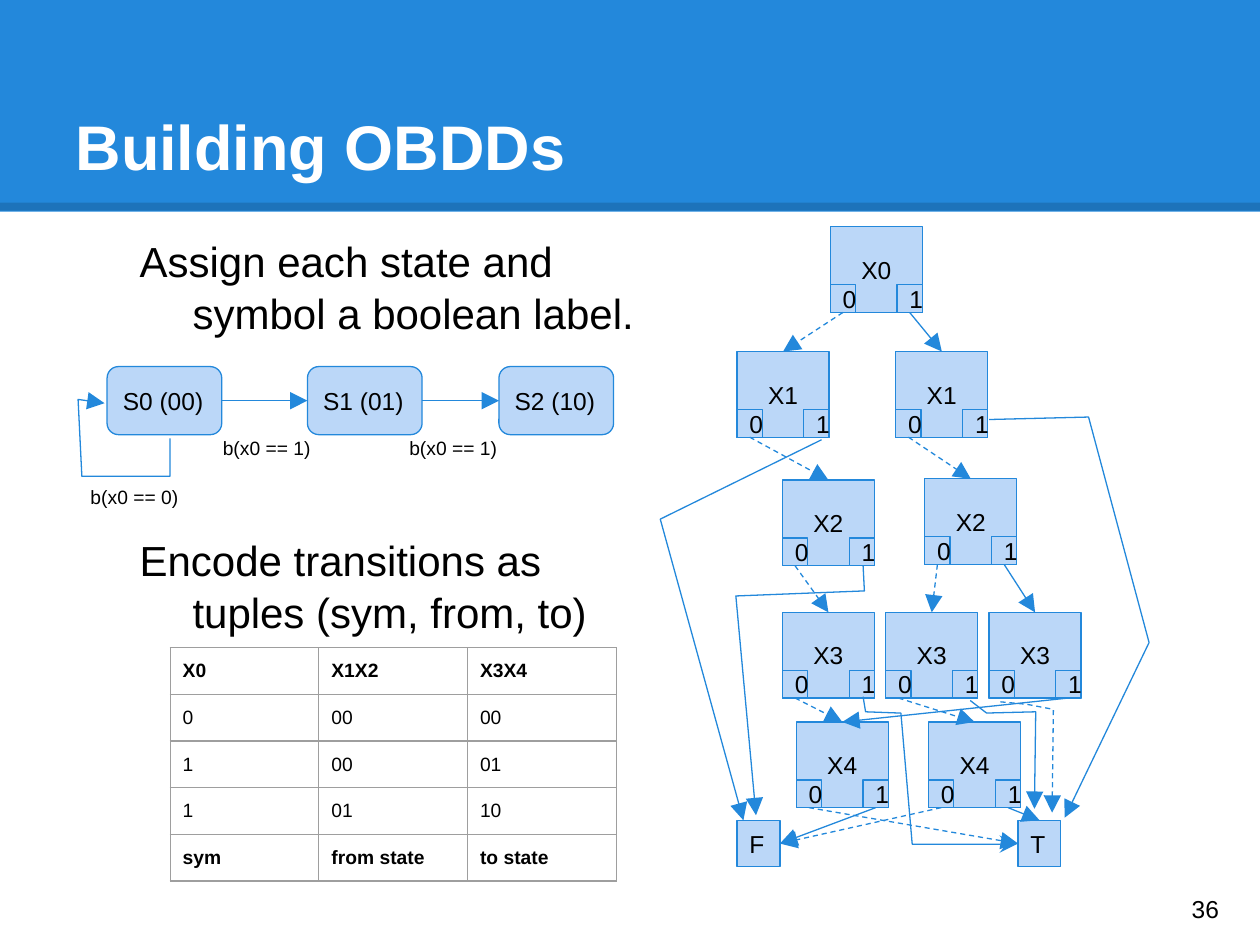
from lxml import etree
from pptx import Presentation
from pptx import util as u
from pptx.dml.color import RGBColor
from pptx.enum import dml, shapes, text
from pptx.oxml.ns import qn

HUE = {"blue": "2388DB", "pale": "BBD7F8", "ink": "000000",
       "white": "FFFFFF", "grid": "9E9E9E"}
PAD = u.Inches(0.1)
RECT = shapes.MSO_SHAPE.RECTANGLE
ROUND = shapes.MSO_SHAPE.ROUNDED_RECTANGLE
MID = text.MSO_ANCHOR.MIDDLE


def tint(name):
    return RGBColor.from_string(HUE[name])


def place(box, x, y):
    return box[0] + u.Inches(x), box[1] + u.Inches(y)


def write(frame, lines, size=14, color="ink", bold=False, align=text.PP_ALIGN.LEFT,
          anchor=text.MSO_ANCHOR.TOP, hang=None, gap=0, lead=None):
    frame.word_wrap = True
    frame.auto_size = text.MSO_AUTO_SIZE.NONE
    frame.vertical_anchor = anchor
    frame.margin_left = frame.margin_right = PAD
    frame.margin_top = frame.margin_bottom = PAD
    for i, words in enumerate(lines):
        para = frame.add_paragraph() if i else frame.paragraphs[0]
        para.alignment = align
        para.space_before = u.Pt(gap if i else 0)
        para.line_spacing = lead
        if hang:
            props = para._p.get_or_add_pPr()
            props.set("marL", str(u.Inches(hang[0])))
            props.set("indent", str(u.Inches(hang[1])))
        run = para.add_run()
        run.text = words
        run.font.name = "Arial"
        run.font.size = u.Pt(size)
        run.font.bold = bold
        run.font.color.rgb = tint(color)


def label(slide, box, lines, **form):
    write(slide.shapes.add_textbox(*box).text_frame, lines, **form)


def block(slide, kind, box, words, **form):
    item = slide.shapes.add_shape(kind, *box)
    item.shadow.inherit = False
    item.fill.solid()
    item.fill.fore_color.rgb = tint("pale")
    item.line.color.rgb = tint("blue")
    item.line.width = u.Pt(0.75)
    write(item.text_frame, [words], anchor=MID, **form)
    return item


def point(item, dash=False, head="triangle"):
    item.line.color.rgb = tint("blue")
    item.line.width = u.Pt(0.75)
    if dash:
        item.line.dash_style = dml.MSO_LINE.DASH
    line = item.element.spPr.get_or_add_ln()
    etree.SubElement(line, qn("a:tailEnd"), type=head, w="lg", len="lg")


def wire(slide, ends):
    item = slide.shapes.add_connector(shapes.MSO_CONNECTOR.STRAIGHT, *ends)
    item.line.width = u.Pt(0.75)
    etree.SubElement(item.element.spPr, qn("a:effectLst"))
    return item


def link(slide, start, side, stop, goal, dash=False):
    item = wire(slide, (0, 0, 0, 0))
    item.begin_connect(start, side)
    item.end_connect(stop, goal)
    point(item, dash)


def route(slide, box, spots, dash=False, head="triangle"):
    spots = [place(box, *spot) for spot in spots]
    pen = slide.shapes.build_freeform(*spots[0])
    pen.add_line_segments(spots[1:], close=False)
    item = pen.convert_to_shape()
    item.shadow.inherit = False
    item.fill.background()
    point(item, dash, head)


def header(slide, box):
    x, y, w, h = box
    band = slide.shapes.add_shape(RECT, *box)
    band.shadow.inherit = False
    band.fill.solid()
    band.fill.fore_color.rgb = tint("blue")
    band.line.fill.background()
    edge = y + h - u.Inches(0.04)
    rule = wire(slide, (x, edge, x + w, edge))
    rule.line.color.rgb = tint("ink")
    rule.line.width = u.Pt(4.5)
    shade = rule.element.spPr.find(".//" + qn("a:srgbClr"))
    etree.SubElement(shade, qn("a:alpha"), val="15000")
    title = slide.shapes.title
    title.left, title.top = place(box, 0.5, 0.3)
    title.width, title.height = w - u.Inches(1), u.Inches(1.25)
    write(title.text_frame, ["Building OBDDs"], size=36, color="white", bold=True,
          anchor=text.MSO_ANCHOR.BOTTOM)
    for item in (band, rule):
        title.element.addprevious(item.element)


def states(slide, box):
    size = u.Inches(0.91), u.Inches(0.54)
    row = [block(slide, ROUND, place(box, x, 0) + size, words)
           for x, words in ((0.23, "S0 (00)"), (1.82, "S1 (01)"), (3.34, "S2 (10)"))]
    for left, right in zip(row, row[1:]):
        link(slide, left, 3, right, 1)
    route(slide, box, [(0.73, 0.57), (0.73, 0.87), (0.03, 0.87), (0, 0.26), (0.21, 0.29)])
    for x, y, bit in ((0, 0.84, 0), (1.05, 0.45, 1), (2.53, 0.45, 1)):
        label(slide, place(box, x, y) + (u.Inches(1.16), u.Inches(0.22)),
              [f"b(x0 == {bit})"], size=11)


def border(cell):
    props = cell._tc.get_or_add_tcPr()
    for i, side in enumerate(("a:lnL", "a:lnR", "a:lnT", "a:lnB")):
        line = etree.Element(qn(side), w=str(u.Pt(0.75)))
        fill = etree.SubElement(line, qn("a:solidFill"))
        etree.SubElement(fill, qn("a:srgbClr"), val=HUE["grid"])
        props.insert(i, line)


def tuples(slide, box):
    rows = [("X0", "X1X2", "X3X4"), ("0", "00", "00"), ("1", "00", "01"),
            ("1", "01", "10"), ("sym", "from state", "to state")]
    table = slide.shapes.add_table(len(rows), 3, *box).table
    table.first_row = table.horz_banding = False
    for r, row in enumerate(rows):
        for c, words in enumerate(row):
            cell = table.cell(r, c)
            cell.fill.background()
            border(cell)
            cell.margin_left = cell.margin_right = PAD
            cell.margin_top = cell.margin_bottom = PAD
            para = cell.text_frame.paragraphs[0]
            run = para.add_run()
            run.text = words
            run.font.name = "Arial"
            run.font.size = u.Pt(11)
            run.font.bold = r in (0, len(rows) - 1)
            run.font.color.rgb = tint("ink")


def node(slide, spot, words):
    body = block(slide, RECT, spot + (u.Inches(0.73), u.Inches(0.68)), words,
                 align=text.PP_ALIGN.CENTER)
    ports = [block(slide, RECT, place(spot, 0.53 * bit, 0.46)
                   + (u.Inches(0.2), u.Inches(0.22)), str(bit)) for bit in (0, 1)]
    return body, ports


def graph(slide, box):
    spots = {"X0": (1.35, 0), "X1a": (0.61, 0.99), "X1b": (1.87, 0.99),
             "X2a": (0.97, 2.01), "X2b": (2.1, 2), "X3a": (0.97, 3.06),
             "X3b": (1.79, 3.06), "X3c": (2.61, 3.06),
             "X4a": (1.08, 3.93), "X4b": (2.13, 3.93)}
    bodies, ports = {}, {}
    for name, spot in spots.items():
        bodies[name], ports[name] = node(slide, place(box, *spot), name[:2])
    for name, x in (("F", 0.61), ("T", 2.84)):
        bodies[name] = block(slide, RECT, place(box, x, 4.71)
                             + (u.Inches(0.34), u.Inches(0.37)), name)
    edges = [("X0", 0, "X1a", 0), ("X0", 1, "X1b", 0), ("X1a", 0, "X2a", 0),
             ("X1b", 0, "X2b", 0), ("X2a", 0, "X3a", 0), ("X2b", 0, "X3b", 0),
             ("X2b", 1, "X3c", 0), ("X3a", 0, "X4a", 0), ("X3b", 0, "X4b", 0),
             ("X3c", 1, "X4a", 0), ("X4a", 0, "T", 1), ("X4a", 1, "F", 3),
             ("X4b", 0, "F", 3), ("X4b", 1, "T", 0)]
    for start, bit, stop, side in edges:
        link(slide, ports[start][bit], 2, bodies[stop], side, dash=bit == 0)
    for spots in ([(1.28, 1.69), (0, 2.32), (0.66, 4.71)],
                  [(2.61, 1.53), (3.4, 1.51), (3.88, 3.3), (3.21, 4.69)],
                  [(1.61, 2.69), (1.62, 2.89), (0.6, 2.93), (0.76, 4.67)],
                  [(2.46, 3.76), (2.59, 3.86), (2.98, 3.85), (2.97, 4.62)]):
        route(slide, box, spots)
    route(slide, box, [(1.61, 3.73), (1.63, 3.85), (1.91, 3.86), (2, 4.9), (2.83, 4.9)],
          head="stealth")
    route(slide, box, [(2.7, 3.77), (2.91, 3.79), (3.12, 3.83), (3.11, 4.65)], dash=True)


def area(*sides):
    return tuple(u.Inches(side) for side in sides)


def main():
    deck = Presentation()
    deck.slide_width, deck.slide_height = area(10, 7.5)
    slide = deck.slides.add_slide(deck.slide_layouts[5])
    header(slide, area(0, 0, 10, 1.68))
    label(slide, area(0.93, 1.75, 4.37, 5.43),
          ["Assign each state and symbol a boolean label.",
           "Encode transitions as tuples (sym, from, to)"],
          size=24, hang=(0.5, -0.42), gap=111, lead=1.04)
    states(slide, area(0.62, 2.91, 4.25, 1.06))
    tuples(slide, area(1.35, 5.14, 3.54, 1.85))
    graph(slide, area(5.24, 1.8, 3.88, 5.08))
    label(slide, area(9.36, 6.93, 0.6, 0.57), ["36"], anchor=MID)
    deck.save("out.pptx")


if __name__ == "__main__":
    main()
